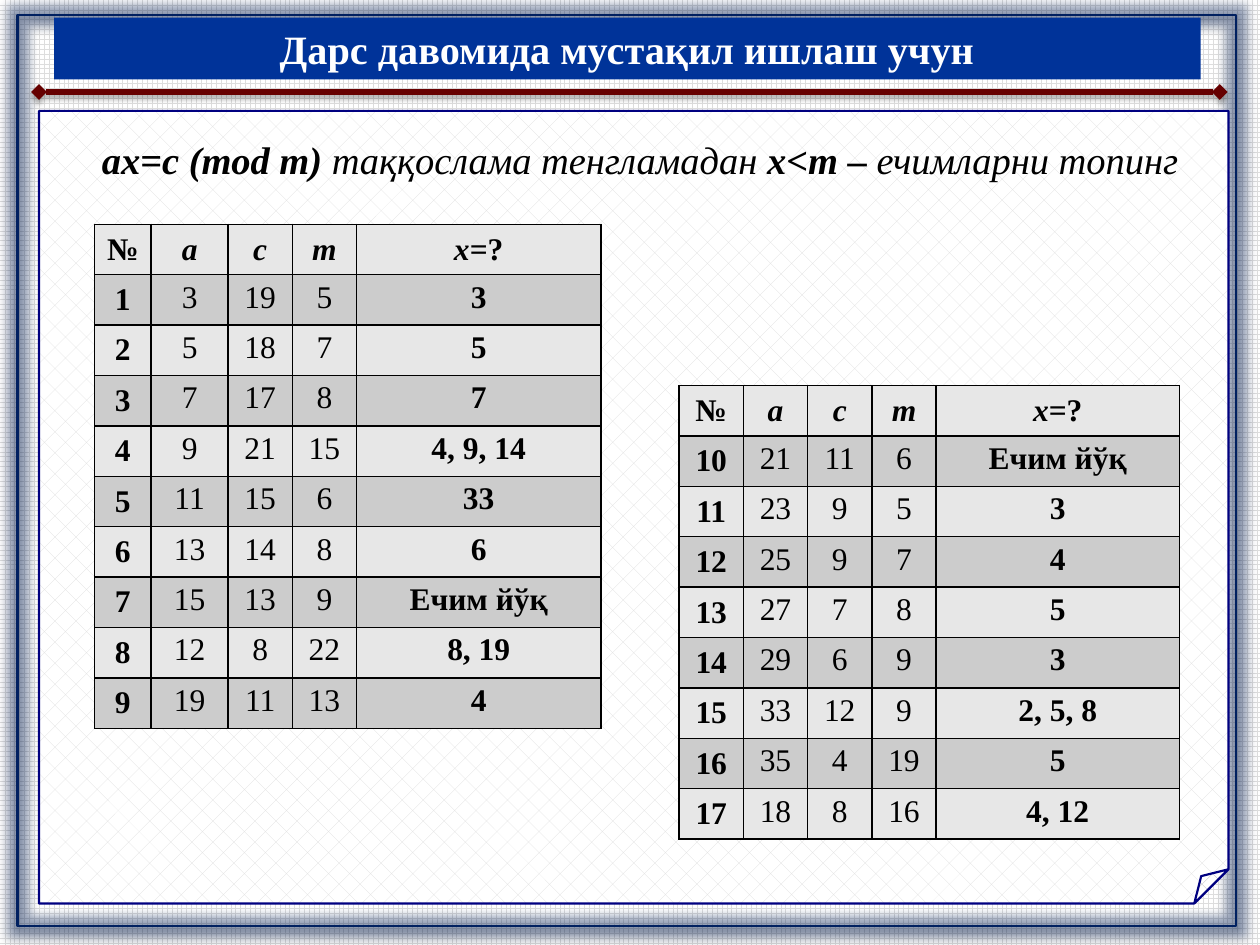
import pptx
import pptx.dml.color
import pptx.enum.dml
import pptx.enum.shapes
import pptx.enum.text
import pptx.oxml
import pptx.oxml.ns
import pptx.util

COLS, ROWS = 100, 75
UNIT = pptx.util.Inches(10) // COLS
FONT = "Times New Roman"
BLACK = "000000"
BANDS = ("E7E7E7", "CCCCCC")
SHADOW = (
    '<a:outerShdw blurRad="39370" dist="22860" dir="5400000" rotWithShape="0">'
    '<a:srgbClr val="000000"><a:alpha val="35000"/></a:srgbClr></a:outerShdw>'
)
GLOW = (
    '<a:glow rad="139700"><a:srgbClr val="002060">'
    '<a:alpha val="35000"/></a:srgbClr></a:glow>'
)
HEADER = ["№", "a", "c", "m", "x=?"]
FIRST_ROWS = [
    (1, 3, 19, 5, "3"),
    (2, 5, 18, 7, "5"),
    (3, 7, 17, 8, "7"),
    (4, 9, 21, 15, "4, 9, 14"),
    (5, 11, 15, 6, "33"),
    (6, 13, 14, 8, "6"),
    (7, 15, 13, 9, "Ечим йўқ"),
    (8, 12, 8, 22, "8, 19"),
    (9, 19, 11, 13, "4"),
]
SECOND_ROWS = [
    (10, 21, 11, 6, "Ечим йўқ"),
    (11, 23, 9, 5, "3"),
    (12, 25, 9, 7, "4"),
    (13, 27, 7, 8, "5"),
    (14, 29, 6, 9, "3"),
    (15, 33, 12, 9, "2, 5, 8"),
    (16, 35, 4, 19, "5"),
    (17, 18, 8, 16, "4, 12"),
]


def grid(*units):
    return [round(u * UNIT) for u in units]


def color(value):
    return pptx.dml.color.RGBColor.from_string(value)


def xml(tag, attrs="", inner=""):
    ns = pptx.oxml.ns.nsdecls("a")
    return pptx.oxml.parse_xml(f"<a:{tag} {ns} {attrs}>{inner}</a:{tag}>")


def set_effects(sp, effects):
    sp._element.spPr.append(xml("effectLst", inner=effects))


def set_fold(sp, share):
    guides = sp._element.spPr.find(".//" + pptx.oxml.ns.qn("a:avLst"))
    guides.append(xml("gd", f'name="adj" fmla="val {round(share * 100000)}"'))


def set_pattern(fill, pattern):
    fill.patterned()
    fill.pattern = pattern
    fill.fore_color.rgb = color("DDDDDD")
    fill.back_color.rgb = color("FFFFFF")


def set_font(font, size, value, bold, italic=False):
    font.name, font.size = FONT, pptx.util.Pt(size)
    font.bold, font.italic = bold, italic
    font.color.rgb = color(value)


def add_panel(slide, kind, place, line=None, width=0):
    sp = slide.shapes.add_shape(kind, *grid(*place))
    sp.fill.background()
    if line:
        sp.line.color.rgb = color(line)
        sp.line.width = pptx.util.Pt(width)
    else:
        sp.line.fill.background()
    return sp


def add_divider(slide, left, right, y):
    straight = pptx.enum.shapes.MSO_CONNECTOR.STRAIGHT
    cxn = slide.shapes.add_connector(straight, *grid(left, y, right, y))
    cxn.line.color.rgb = color("660000")
    cxn.line.width = pptx.util.Pt(3)
    ln = cxn.line._get_or_add_ln()
    for end in ("headEnd", "tailEnd"):
        ln.append(xml(end, 'type="diamond"'))
    set_effects(cxn, SHADOW)


def add_title(slide, text):
    sp = add_panel(slide, pptx.enum.shapes.MSO_SHAPE.RECTANGLE, (4.3, 1.4, 91, 4.9))
    sp.shadow.inherit = False
    sp.fill.solid()
    sp.fill.fore_color.rgb = color("003399")
    sp.text_frame.vertical_anchor = pptx.enum.text.MSO_ANCHOR.MIDDLE
    p = sp.text_frame.paragraphs[0]
    p.text = text
    p.alignment = pptx.enum.text.PP_ALIGN.CENTER
    set_font(p.font, 23, "FFFFFF", True)


def add_task(slide, parts):
    tf = slide.shapes.add_textbox(*grid(7.1, 10.3, 88.4, 4.7)).text_frame
    tf.word_wrap = False
    for i, part in enumerate(parts):
        r = tf.paragraphs[0].add_run()
        r.text = part
        set_font(r.font, 22, BLACK, i % 2 == 0, True)


def style_cell(cell, band):
    tcPr = cell._tc.get_or_add_tcPr()
    stroke = f'<a:solidFill><a:srgbClr val="{BLACK}"/></a:solidFill>'
    for side in ("lnL", "lnR", "lnT", "lnB"):
        tcPr.append(xml(side, 'w="12700"', stroke))
    cell.fill.solid()
    cell.fill.fore_color.rgb = color(band)


def fill_header_cell(cell, text):
    p = cell.text_frame.paragraphs[0]
    p.alignment = pptx.enum.text.PP_ALIGN.CENTER
    cell.vertical_anchor = pptx.enum.text.MSO_ANCHOR.MIDDLE
    parts = ("x", "=?") if text == "x=?" else (text,)
    for part in parts:
        r = p.add_run()
        r.text = part
        set_font(r.font, 18, BLACK, True, part in "acmx")


def fill_data_cell(cell, text, bold, inset):
    p = cell.text_frame.paragraphs[0]
    p.text = text
    p.alignment = pptx.enum.text.PP_ALIGN.CENTER
    p.line_spacing = 1.15
    set_font(p.font, 18, BLACK, bold)
    cell.margin_left = cell.margin_right = grid(inset)[0]
    cell.margin_top = cell.margin_bottom = 0


def add_answers(slide, left, top, widths, rows, inset):
    count, height = len(rows) + 1, 4
    place = grid(left, top, sum(widths), count * height)
    table = slide.shapes.add_table(count, len(widths), *place).table
    for column, width in zip(table.columns, grid(*widths)):
        column.width = width
    for i, values in enumerate([HEADER] + rows):
        for j, value in enumerate(values):
            cell = table.cell(i, j)
            if i == 0 or j == 0:
                fill_header_cell(cell, str(value))
            else:
                fill_data_cell(cell, str(value), j == 4, inset)
            style_cell(cell, BANDS[i % 2])


def main():
    prs = pptx.Presentation()
    prs.slide_width, prs.slide_height = COLS * UNIT, ROWS * UNIT
    slide = prs.slides.add_slide(prs.slide_layouts[6])
    shape, pattern = pptx.enum.shapes.MSO_SHAPE, pptx.enum.dml.MSO_PATTERN
    set_pattern(slide.background.fill, pattern.LARGE_GRID)

    frame = add_panel(slide, shape.FLOWCHART_PROCESS, (1.4, 1.2, 96.7, 72.3), "002060", 1.5)
    set_effects(frame, GLOW + SHADOW)
    add_divider(slide, 3.1, 96.8, 7.3)
    add_title(slide, "Дарс давомида мустақил ишлаш учун")

    sheet = add_panel(slide, shape.FOLDED_CORNER, (3.1, 8.8, 94.4, 62.9), "000080", 1.25)
    sheet.shadow.inherit = False
    set_fold(sheet, 0.043)
    set_pattern(sheet.fill, pattern.DOTTED_DIAMOND)

    add_answers(slide, 7.5, 17.8, (4.5, 6.1, 5.1, 5.1, 19.4), FIRST_ROWS, 0.8)
    add_answers(slide, 53.9, 30.6, (5.1, 5.1, 5.1, 5.1, 19.3), SECOND_ROWS, 0.7)
    add_task(slide, ["ax=c (mod m) ", "таққослама тенгламадан ", "x<m – ", "ечимларни топинг"])
    prs.save("out.pptx")


if __name__ == "__main__":
    main()
